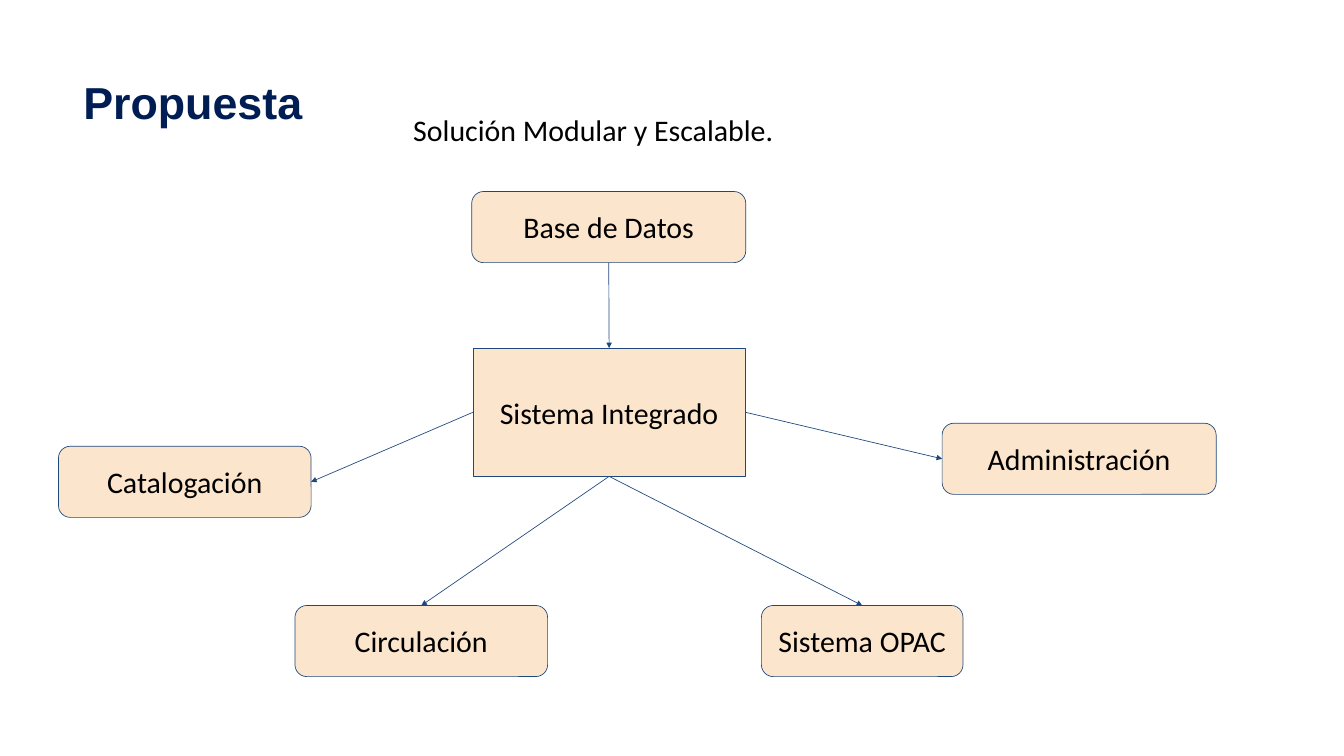
from lxml.etree import SubElement
from pptx import Presentation
from pptx.dml.color import RGBColor
from pptx.enum.shapes import MSO_CONNECTOR as Connector, MSO_SHAPE as Shape
from pptx.enum.text import MSO_ANCHOR as Anchor, MSO_AUTO_SIZE as AutoSize, PP_ALIGN as Align
from pptx.oxml.ns import qn
from pptx.util import Cm, Pt

COLORS = {"title": "001D54", "text": "000000", "box": "FCE5CD", "line": "1F497D"}
TITLE = "Propuesta"
SUBTITLE = "Solución Modular y Escalable."
BOX_HEIGHT = 2.69
CORE = "Sistema Integrado"
CORE_AREA = (17.88, 13.16, 10.29, 4.85)
MODULES = [
    ("Base de Datos", 17.83, 7.24, 10.36),
    ("Catalogación", 2.21, 16.87, 9.55),
    ("Circulación", 11.15, 22.89, 9.55),
    ("Sistema OPAC", 28.78, 22.89, 7.62),
    ("Administración", 35.61, 16, 10.36),
]
TOP, LEFT, BOTTOM, RIGHT = range(4)
ARROWS = [
    ("Base de Datos", BOTTOM, CORE, TOP),
    (CORE, LEFT, "Catalogación", RIGHT),
    (CORE, BOTTOM, "Circulación", TOP),
    (CORE, BOTTOM, "Sistema OPAC", TOP),
    (CORE, RIGHT, "Administración", LEFT),
]


def color(name):
    return RGBColor.from_string(COLORS[name])


def write(holder, text, size, font, ink, align, anchor, inset, bold=False):
    frame = holder.text_frame
    frame.word_wrap = True
    frame.auto_size = AutoSize.NONE
    frame.vertical_anchor = anchor
    frame.margin_left = frame.margin_right = Cm(inset)
    frame.margin_top = frame.margin_bottom = Cm(inset)
    paragraph = frame.paragraphs[0]
    paragraph.alignment = align
    run = paragraph.add_run()
    run.text = text
    run.font.size = Pt(size)
    run.font.name = font
    run.font.bold = bold
    run.font.color.rgb = color(ink)
    return paragraph


def outline(item):
    item.line.color.rgb = color("line")
    item.line.width = Pt(0.75)


def add_box(slide, kind, label, area):
    box = slide.shapes.add_shape(kind, *map(Cm, area))
    box.shadow.inherit = False
    box.fill.solid()
    box.fill.fore_color.rgb = color("box")
    outline(box)
    write(box, label, 32, "Calibri", "text", Align.CENTER, Anchor.MIDDLE, 0.25)
    return box


def add_arrow(slide, start, start_side, end, end_side):
    arrow = slide.shapes.add_connector(Connector.STRAIGHT, 0, 0, 0, 0)
    arrow.begin_connect(start, start_side)
    arrow.end_connect(end, end_side)
    outline(arrow)
    SubElement(arrow.line._get_or_add_ln(), qn("a:tailEnd"), type="triangle")
    SubElement(arrow._element.spPr, qn("a:effectLst"))


def main():
    deck = Presentation()
    deck.slide_width, deck.slide_height = Cm(50.8), Cm(28.58)
    slide = deck.slides.add_slide(deck.slide_layouts[5])

    title = slide.shapes.title
    title.left, title.top, title.width, title.height = map(Cm, (3.15, 1.3, 30.94, 2.69))
    heading = write(title, TITLE, 48, "Arial", "title", Align.LEFT, Anchor.TOP, 0, True)
    heading.line_spacing = 1.75
    heading.space_before = Pt(0)

    subtitle = slide.shapes.add_textbox(*map(Cm, (15.37, 3.99, 14.27, 1.83)))
    write(subtitle, SUBTITLE, 32, "Calibri", "text", Align.LEFT, Anchor.TOP, 0.25)

    boxes = {CORE: add_box(slide, Shape.RECTANGLE, CORE, CORE_AREA)}
    for label, left, top, width in MODULES:
        area = (left, top, width, BOX_HEIGHT)
        boxes[label] = add_box(slide, Shape.ROUNDED_RECTANGLE, label, area)

    for start, start_side, end, end_side in ARROWS:
        add_arrow(slide, boxes[start], start_side, boxes[end], end_side)

    deck.save("out.pptx")


if __name__ == "__main__":
    main()
